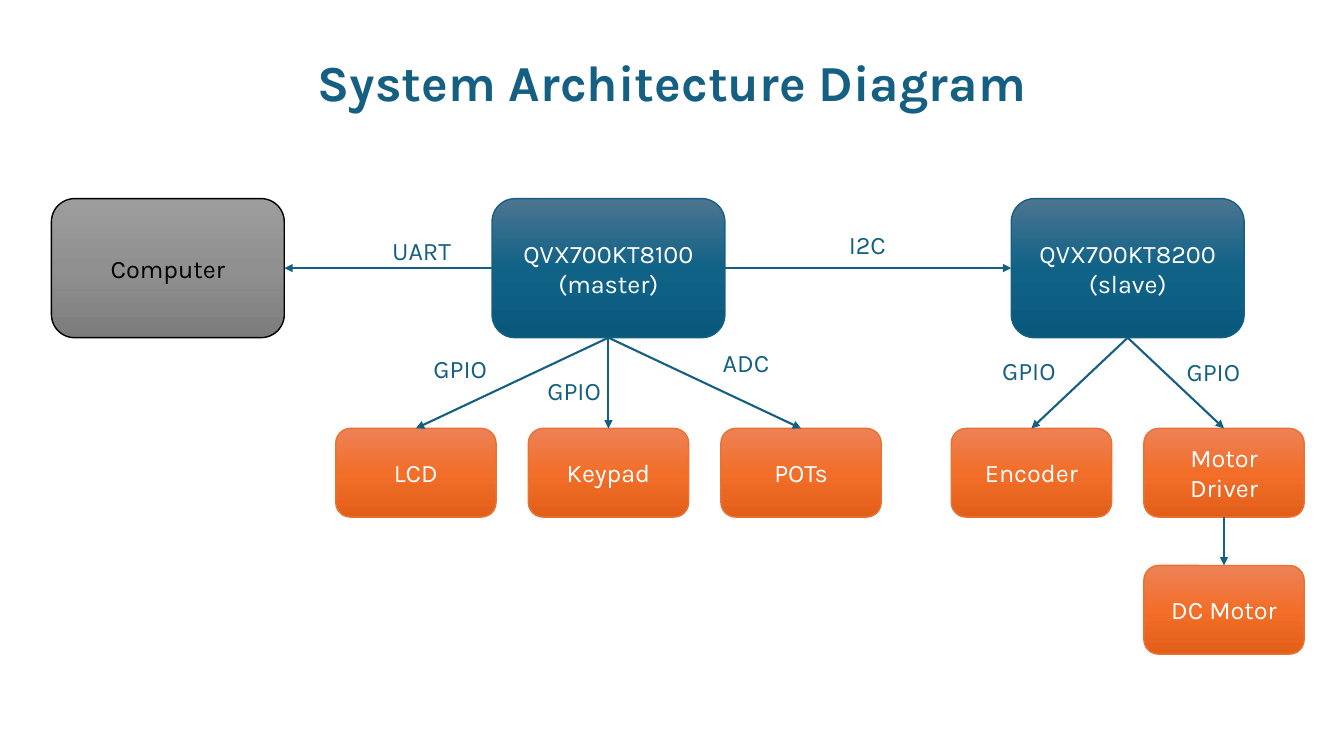
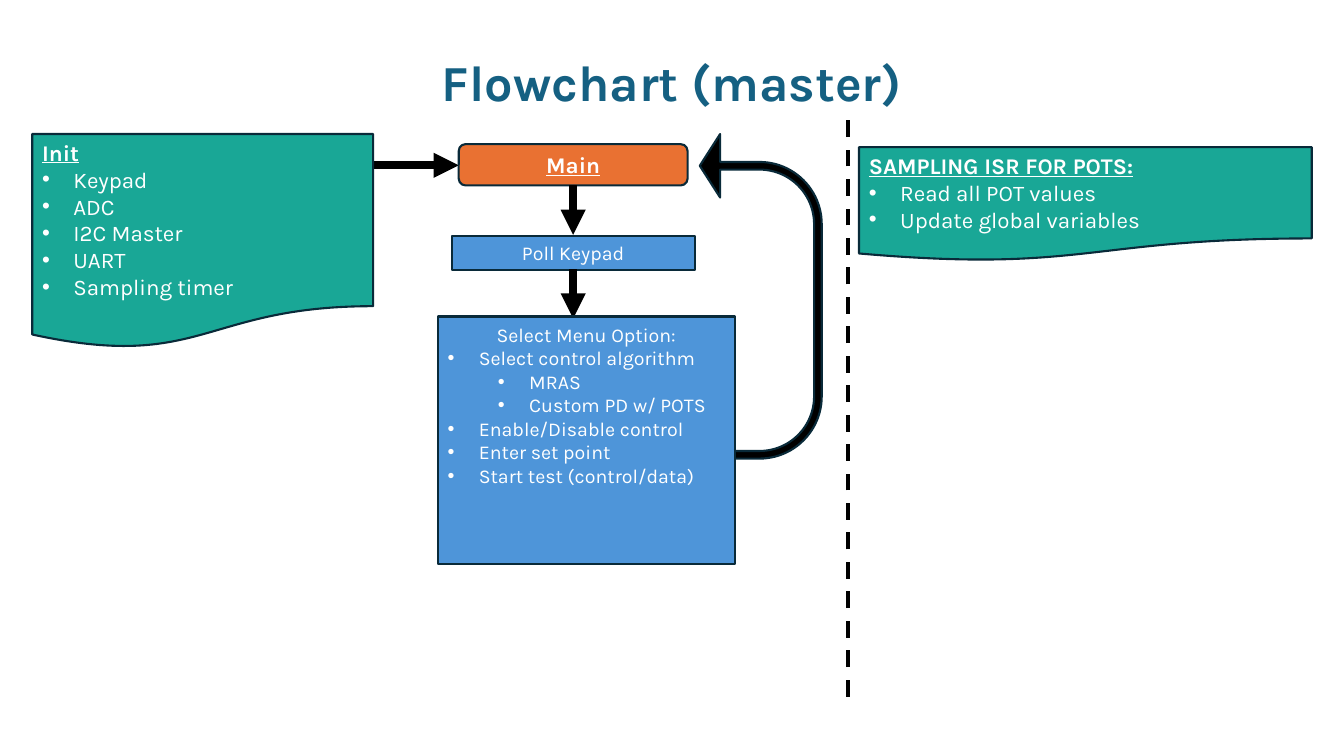
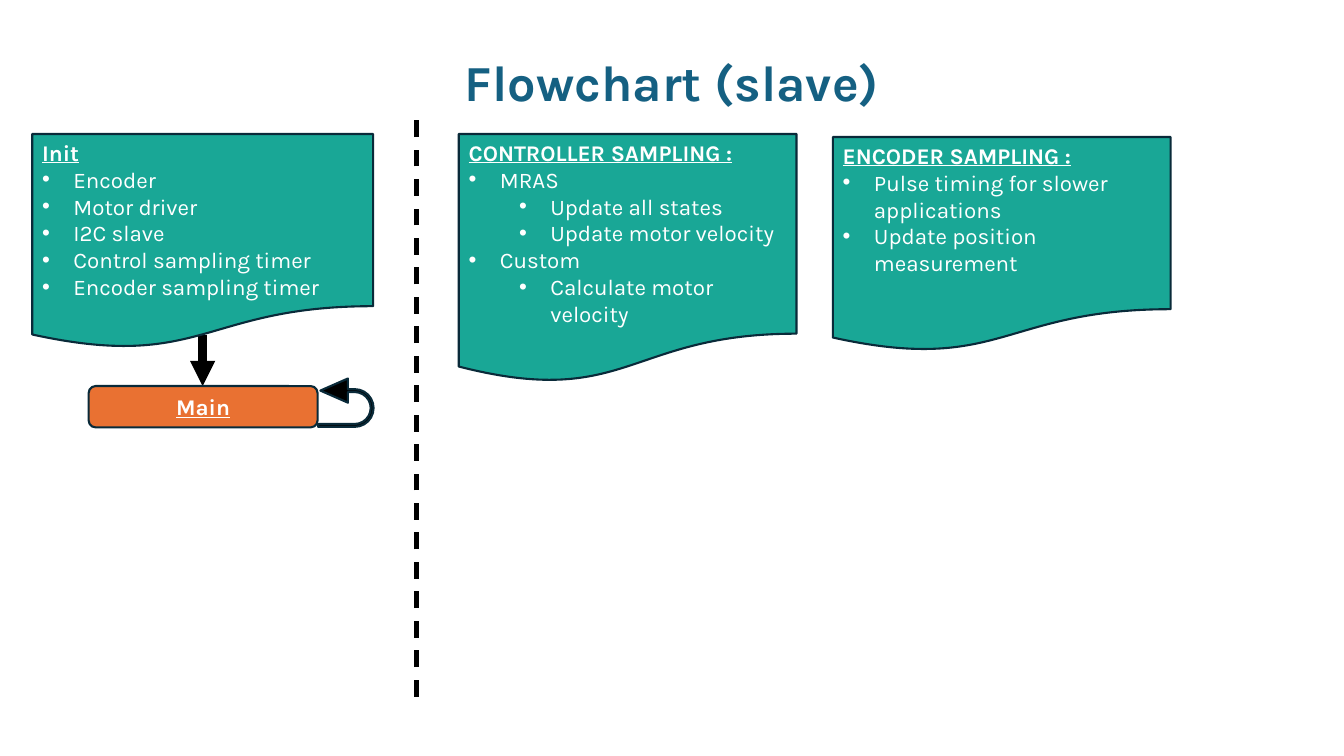
import copy

import lxml.etree
import pptx
import pptx.dml.color
import pptx.enum.dml
import pptx.enum.shapes
import pptx.enum.text
import pptx.oxml.ns
import pptx.util

RGB = pptx.dml.color.RGBColor
SHAPE = pptx.enum.shapes.MSO_SHAPE
ALIGN = pptx.enum.text.PP_ALIGN
ANCHOR = pptx.enum.text.MSO_ANCHOR

EMU_PER_PX = 9144
SLIDE_WIDTH, SLIDE_HEIGHT = 1333, 750
FONT = "Karla"

WHITE = RGB(0xFF, 0xFF, 0xFF)
BLACK = RGB(0x00, 0x00, 0x00)
BLUE = RGB(0x15, 0x60, 0x82)
SKY = RGB(0x4E, 0x95, 0xD9)
ORANGE = RGB(0xE9, 0x71, 0x32)
TEAL = RGB(0x19, 0xA7, 0x96)
OUTLINE = RGB(0x09, 0x2A, 0x39)
ORANGE_BLEND = (RGB(0xED, 0x82, 0x57), RGB(0xF2, 0x6E, 0x29), RGB(0xE2, 0x5F, 0x1A))
BLUE_BLEND = (RGB(0x4C, 0x75, 0x91), RGB(0x10, 0x62, 0x87), RGB(0x09, 0x59, 0x7D))
GREY_BLEND = (RGB(0x9D, 0x9D, 0x9D), RGB(0x90, 0x90, 0x90), RGB(0x7C, 0x7C, 0x7C))

TOP, LEFT, BOTTOM, RIGHT = range(4)
CHIP_WIDTH, CHIP_HEIGHT = 231, 138
PART_WIDTH, PART_HEIGHT = 159, 88
PART_PITCH, PART_DROP, MOTOR_DROP = 191, 228, 136
MAIN_WIDTH, MAIN_HEIGHT = 227, 41
INIT_WIDTH, INIT_HEIGHT = 338, 213
BULLET_INDENT, LEVEL_STEP = 31, 50


def px(length):
    return pptx.util.Emu(round(length * EMU_PER_PX))


def add_child(parent, tag, **attributes):
    return lxml.etree.SubElement(parent, pptx.oxml.ns.qn(tag), **attributes)


def style_paragraph(paragraph, size, color, align=ALIGN.LEFT, heading=False):
    paragraph.alignment = align
    font = paragraph.font
    font.name, font.size, font.color.rgb = FONT, pptx.util.Pt(size), color
    if heading:
        font.bold = font.underline = True


def add_bullet(paragraph, level):
    paragraph.level = level
    properties = paragraph._p.get_or_add_pPr()
    properties.set("marL", str(px(BULLET_INDENT + level * LEVEL_STEP)))
    properties.set("indent", str(-px(BULLET_INDENT)))
    add_child(properties, "a:buFont", typeface="Arial")
    add_child(properties, "a:buChar", char="•")


def add_paragraph(frame, text):
    paragraph = frame.add_paragraph() if frame.text else frame.paragraphs[0]
    paragraph.text = text
    return paragraph


def write_list(shape, heading, items, size, align, is_heading):
    frame = shape.text_frame
    frame.vertical_anchor = ANCHOR.TOP
    style_paragraph(add_paragraph(frame, heading), size, WHITE, align, is_heading)
    for level, text in items:
        paragraph = add_paragraph(frame, text)
        add_bullet(paragraph, level)
        style_paragraph(paragraph, size, WHITE)


def write_centered(shape, lines, size, color, heading=False):
    frame = shape.text_frame
    frame.vertical_anchor = ANCHOR.MIDDLE
    for line in lines:
        style_paragraph(add_paragraph(frame, line), size, color, ALIGN.CENTER, heading)


def add_box(slide, kind, left, top, width, height, fill, outline=OUTLINE, weight=1.5):
    shape = slide.shapes.add_shape(kind, px(left), px(top), px(width), px(height))
    shape.shadow.inherit = False
    shape.line.color.rgb = outline
    shape.line.width = pptx.util.Pt(weight)
    if isinstance(fill, RGB):
        shape.fill.solid()
        shape.fill.fore_color.rgb = fill
    else:
        blend_fill(shape, fill)
    return shape


def blend_fill(shape, colors):
    shape.fill.gradient()
    shape.fill.gradient_angle = 270
    stop_list = next(shape._element.spPr.iter(pptx.oxml.ns.qn("a:gsLst")))
    stop_list.insert(1, copy.deepcopy(stop_list[0]))
    for index, (stop, color) in enumerate(zip(shape.fill.gradient_stops, colors)):
        stop.position = index / 2
        stop.color.rgb = color


def add_line(slide, start, end, color=BLACK, weight=6, arrow=True):
    line = slide.shapes.add_connector(
        pptx.enum.shapes.MSO_CONNECTOR.STRAIGHT, *map(px, start + end))
    line.line.color.rgb = color
    line.line.width = pptx.util.Pt(weight)
    if arrow:
        add_child(line.line._get_or_add_ln(), "a:tailEnd", type="triangle")
    add_child(line._element.spPr, "a:effectLst")
    return line


def link(slide, source, source_side, target, target_side):
    line = add_line(slide, (0, 0), (0, 0), BLUE, 1.5)
    line.begin_connect(source, source_side)
    line.end_connect(target, target_side)


def add_label(slide, left, top, width, text):
    label = slide.shapes.add_textbox(px(left), px(top), px(width), px(40))
    label.text_frame.text = text
    style_paragraph(label.text_frame.paragraphs[0], 18, BLUE)


def add_titled_slide(presentation, text):
    slide = presentation.slides.add_slide(presentation.slide_layouts[5])
    title = slide.shapes.title
    title.left, title.top, title.width, title.height = map(px, (0, 46, SLIDE_WIDTH, 71))
    frame = title.text_frame
    frame.text = text
    frame.vertical_anchor = ANCHOR.TOP
    frame.auto_size = pptx.enum.text.MSO_AUTO_SIZE.NONE
    style_paragraph(frame.paragraphs[0], 36, BLUE, ALIGN.CENTER)
    frame.paragraphs[0].font.bold = True
    return slide


def add_chip(slide, left, top, lines, blend=BLUE_BLEND, outline=BLUE, color=WHITE):
    chip = add_box(slide, SHAPE.ROUNDED_RECTANGLE, left, top, CHIP_WIDTH, CHIP_HEIGHT,
                   blend, outline, 1)
    write_centered(chip, lines, 18, color)
    return chip


def add_part(slide, center, top, name):
    part = add_box(slide, SHAPE.ROUNDED_RECTANGLE, center - PART_WIDTH / 2, top,
                   PART_WIDTH, PART_HEIGHT, ORANGE_BLEND, ORANGE, 1)
    write_centered(part, [name], 18, WHITE)
    return part


def add_chip_cluster(slide, left, top, lines, parts):
    chip = add_chip(slide, left, top, lines)
    first_center = left + CHIP_WIDTH / 2 - PART_PITCH * (len(parts) - 1) / 2
    shapes = []
    for index, (name, signal, label_x, label_y, label_width) in enumerate(parts):
        part = add_part(slide, first_center + index * PART_PITCH, top + PART_DROP, name)
        link(slide, chip, BOTTOM, part, TOP)
        add_label(slide, left + label_x, top + label_y, label_width, signal)
        shapes.append(part)
    return chip, shapes


def add_document(slide, left, top, width, height, heading, items):
    document = add_box(slide, SHAPE.FLOWCHART_DOCUMENT, left, top, width, height, TEAL)
    write_list(document, heading, items, 16, ALIGN.LEFT, True)


def add_init(slide, left, top, steps):
    add_document(slide, left, top, INIT_WIDTH, INIT_HEIGHT, "Init",
                 [(0, step) for step in steps])


def add_main(slide, left, top):
    main_box = add_box(slide, SHAPE.ROUNDED_RECTANGLE, left, top,
                       MAIN_WIDTH, MAIN_HEIGHT, ORANGE)
    write_centered(main_box, ["Main"], 16, WHITE, True)


def add_loop_arrow(slide, left, top, width, height, head_length):
    arrow = add_box(slide, SHAPE.U_TURN_ARROW, left, top, width, height, BLACK)
    for index, value in enumerate((0.06, 0.25, head_length, 0.49, 0.96)):
        arrow.adjustments[index] = value
    arrow.rotation = 270
    arrow._element.spPr.xfrm.set("flipV", "1")


def add_divider(slide, x):
    divider = add_line(slide, (x, 691), (x, 116), weight=3, arrow=False)
    divider.line.dash_style = pptx.enum.dml.MSO_LINE.DASH


def add_main_loop(slide, left, top):
    center = left + MAIN_WIDTH / 2
    add_main(slide, left, top)
    add_line(slide, (center, top + MAIN_HEIGHT), (center, top + 90))
    poll = add_box(slide, SHAPE.RECTANGLE, left - 7, top + 91, 241, 34, SKY)
    write_centered(poll, ["Poll Keypad"], 14, WHITE)
    add_line(slide, (center, top + 124), (center, top + 173))
    add_loop_arrow(slide, left + 136, top + 88, 322, 126, 0.16)
    menu = add_box(slide, SHAPE.RECTANGLE, left - 21, top + 171, 295, 246, SKY)
    menu.text_frame.margin_top = px(6)
    write_list(menu, "Select Menu Option:", [
        (0, "Select control algorithm"),
        (1, "MRAS"),
        (1, "Custom PD w/ POTS"),
        (0, "Enable/Disable control"),
        (0, "Enter set point"),
        (0, "Start test (control/data)"),
    ], 14, ALIGN.CENTER, False)


def build_architecture(presentation):
    slide = add_titled_slide(presentation, "System Architecture Diagram")
    top = 197
    computer = add_chip(slide, 51, top, ["Computer"], GREY_BLEND, BLACK, BLACK)
    master, _ = add_chip_cluster(slide, 488, top, ["QVX700KT8100", "(master)"], [
        ("LCD", "GPIO", -68, 149, 78),
        ("Keypad", "GPIO", 45, 170, 78),
        ("POTs", "ADC", 219, 143, 70),
    ])
    slave, (_, driver) = add_chip_cluster(slide, 1003, top, ["QVX700KT8200", "(slave)"], [
        ("Encoder", "GPIO", -19, 151, 78),
        ("Motor Driver", "GPIO", 164, 152, 78),
    ])
    driver_center = (driver.left + driver.width / 2) / EMU_PER_PX
    motor = add_part(slide, driver_center, top + PART_DROP + MOTOR_DROP, "DC Motor")
    link(slide, driver, BOTTOM, motor, TOP)
    link(slide, master, LEFT, computer, RIGHT)
    link(slide, master, RIGHT, slave, LEFT)
    add_label(slide, 379, 229, 79, "UART")
    add_label(slide, 832, 223, 58, "I2C")


def build_master_flow(presentation):
    slide = add_titled_slide(presentation, "Flowchart (master)")
    add_line(slide, (322, 164), (455, 164))
    add_init(slide, 32, 133, ["Keypad", "ADC", "I2C Master", "UART", "Sampling timer"])
    add_main_loop(slide, 455, 143)
    add_divider(slide, 841)
    add_document(slide, 852, 146, 449, 113, "SAMPLING ISR FOR POTS:", [
        (0, "Read all POT values"),
        (0, "Update global variables"),
    ])


def build_slave_flow(presentation):
    slide = add_titled_slide(presentation, "Flowchart (slave)")
    add_line(slide, (201, 332), (201, 383))
    add_init(slide, 32, 133, ["Encoder", "Motor driver", "I2C slave",
                              "Control sampling timer", "Encoder sampling timer"])
    add_loop_arrow(slide, 319, 372, 48, 55, 0.57)
    add_main(slide, 88, 383)
    add_divider(slide, 413)
    add_document(slide, 455, 133, 335, 247, "CONTROLLER SAMPLING :", [
        (0, "MRAS"),
        (1, "Update all states"),
        (1, "Update motor velocity"),
        (0, "Custom"),
        (1, "Calculate motor velocity"),
    ])
    add_document(slide, 826, 136, 335, 213, "ENCODER SAMPLING :", [
        (0, "Pulse timing for slower applications"),
        (0, "Update position measurement"),
    ])


def main():
    presentation = pptx.Presentation()
    presentation.slide_width = px(SLIDE_WIDTH)
    presentation.slide_height = px(SLIDE_HEIGHT)
    build_architecture(presentation)
    build_master_flow(presentation)
    build_slave_flow(presentation)
    presentation.save("out.pptx")


if __name__ == "__main__":
    main()
